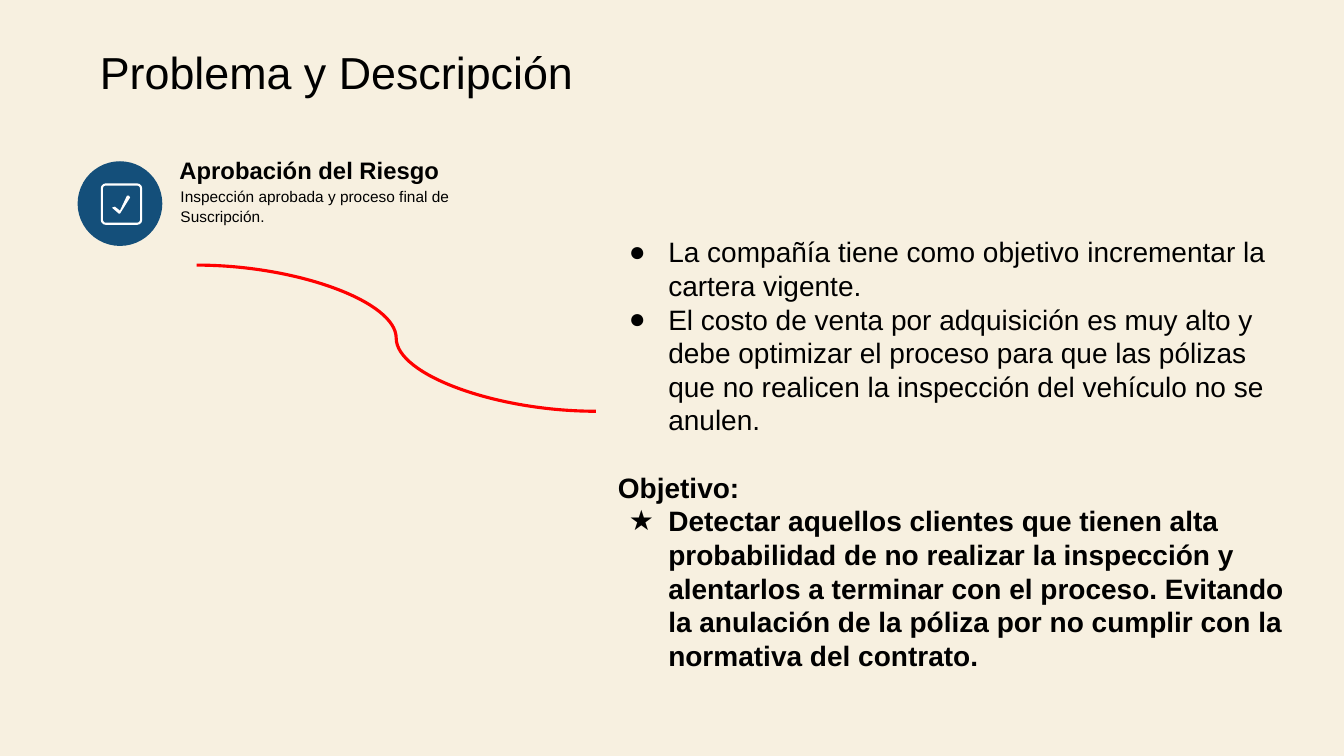
from dataclasses import dataclass

from lxml import etree
from pptx import Presentation
from pptx.dml.color import RGBColor
from pptx.enum import shapes, text
from pptx.oxml.ns import qn
from pptx.util import Inches, Pt


@dataclass(frozen=True)
class Theme:
    font: str = "Arial"
    background: str = "F7F0E0"
    ink: str = "000000"
    badge: str = "144F7A"
    icon: str = "FFFFFF"
    curve: str = "FF0000"
    title: int = 32
    body: int = 20
    heading: int = 17
    detail: int = 11


THEME = Theme()


def rgb(color):
    return RGBColor.from_string(color)


def set_frame(sp, inset_x, inset_y):
    tf = sp.text_frame
    tf.word_wrap = True
    tf.auto_size = text.MSO_AUTO_SIZE.NONE
    tf.vertical_anchor = text.MSO_ANCHOR.TOP
    tf.margin_left = tf.margin_right = Inches(inset_x)
    tf.margin_top = tf.margin_bottom = Inches(inset_y)
    return tf


def add_bullet(p, mark):
    pPr = p._p.get_or_add_pPr()
    pPr.set("marL", str(Inches(0.5)))
    pPr.set("indent", str(Inches(-0.39)))
    color = etree.SubElement(pPr, qn("a:buClr"))
    etree.SubElement(color, qn("a:srgbClr"), val=THEME.ink)
    etree.SubElement(pPr, qn("a:buFont"), typeface=THEME.font)
    etree.SubElement(pPr, qn("a:buChar"), char=mark)


def write(p, words, size, bold=False, bullet=None, spacing=None, before=None):
    if bullet:
        add_bullet(p, bullet)
    p.alignment = text.PP_ALIGN.LEFT
    if spacing:
        p.line_spacing = spacing
    if before:
        p.space_before = Pt(before)
    r = p.add_run()
    r.text = words
    r.font.name = THEME.font
    r.font.size = Pt(size)
    r.font.bold = bold
    r.font.color.rgb = rgb(THEME.ink)


def add_box(s, box, inset_x, inset_y):
    sp = s.shapes.add_textbox(*map(Inches, box))
    return set_frame(sp, inset_x, inset_y)


def add_title(s, words):
    sp = s.shapes.title
    sp.left, sp.top, sp.width, sp.height = map(Inches, (0.89, 0.34, 9.62, 0.74))
    tf = set_frame(sp, 0.1, 0.1)
    write(tf.paragraphs[0], words, THEME.title)


def paint(sp, fill=None, line=None, width=1.5):
    sp.shadow.inherit = False
    if fill:
        sp.fill.solid()
        sp.fill.fore_color.rgb = rgb(fill)
    else:
        sp.fill.background()
    if line:
        sp.line.color.rgb = rgb(line)
        sp.line.width = Pt(width)
    else:
        sp.line.fill.background()


def add_check_badge(s):
    kind = shapes.MSO_SHAPE
    circle = s.shapes.add_shape(kind.OVAL, *map(Inches, (0.77, 1.6, 0.84, 0.84)))
    paint(circle, fill=THEME.badge)
    frame = s.shapes.add_shape(
        kind.ROUNDED_RECTANGLE, *map(Inches, (1.01, 1.83, 0.39, 0.39)))
    frame.adjustments[0] = 0.1
    paint(frame, line=THEME.icon)
    # Tick inside the frame
    tick = [(1.26, 1.94), (1.19, 2.09), (1.14, 2.05), (1.11, 2.06),
            (1.18, 2.12), (1.19, 2.12), (1.29, 1.96), (1.28, 1.94)]
    start, *rest = [(Inches(x), Inches(y)) for x, y in tick]
    builder = s.shapes.build_freeform(*start)
    builder.add_line_segments(rest, close=True)
    paint(builder.convert_to_shape(), fill=THEME.icon)


def add_curve(s, start, end):
    line = s.shapes.add_connector(
        shapes.MSO_CONNECTOR.CURVE, *map(Inches, start + end))
    line.line.color.rgb = rgb(THEME.curve)
    line.line.width = Pt(2.25)
    etree.SubElement(line._element.spPr, qn("a:effectLst"))


def add_description(s):
    tf = add_box(s, (6.03, 2.23, 6.9, 4.58), 0.1, 0.1)
    items = [
        ("La compañía tiene como objetivo incrementar la cartera vigente.",
         dict(bullet="●")),
        ("El costo de venta por adquisición es muy alto y debe optimizar el "
         "proceso para que las pólizas que no realicen la inspección del "
         "vehículo no se anulen.", dict(bullet="●")),
        ("Objetivo:", dict(bold=True, before=24)),
        ("Detectar aquellos clientes que tienen alta probabilidad de no "
         "realizar la inspección y alentarlos a terminar con el proceso. "
         "Evitando la anulación de la póliza por no cumplir con la normativa "
         "del contrato.", dict(bold=True, bullet="★")),
    ]
    for i, (words, style) in enumerate(items):
        p = tf.add_paragraph() if i else tf.paragraphs[0]
        write(p, words, THEME.body, **style)


def main():
    prs = Presentation()
    prs.slide_width, prs.slide_height = Inches(13.33), Inches(7.5)
    s = prs.slides.add_slide(prs.slide_layouts[5])
    s.background.fill.solid()
    s.background.fill.fore_color.rgb = rgb(THEME.background)

    add_title(s, "Problema y Descripción")

    # Risk approval step
    add_check_badge(s)
    heading = add_box(s, (1.66, 1.48, 2.88, 0.41), 0.12, 0.06)
    write(heading.paragraphs[0], "Aprobación del Riesgo", THEME.heading, bold=True)
    detail = add_box(s, (1.67, 1.78, 3.52, 0.51), 0.12, 0.06)
    write(detail.paragraphs[0],
          "Inspección aprobada y proceso final de Suscripción.",
          THEME.detail, spacing=1.1)

    # Link from the step to its description
    add_curve(s, (1.95, 2.63), (5.91, 4.08))
    add_description(s)

    prs.save("out.pptx")


if __name__ == "__main__":
    main()
